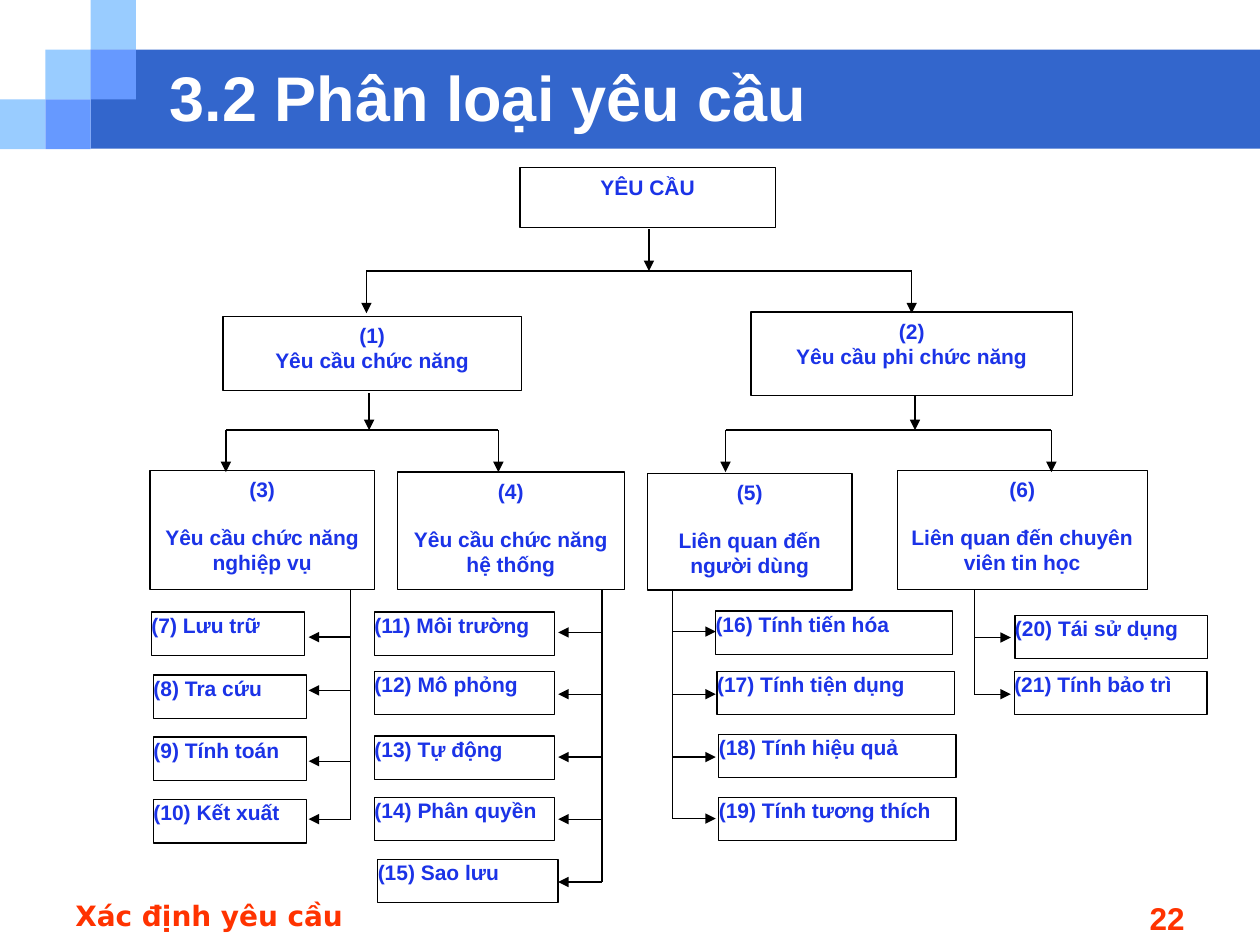
from copy import deepcopy
from lxml import etree
from pptx import Presentation
from pptx.dml.color import RGBColor
from pptx.enum import shapes, text
from pptx.oxml import ns
from pptx.util import Pt

rgb = RGBColor.from_string
deck = Presentation()
deck.slide_width, deck.slide_height = Pt(720), Pt(540)
slide = deck.slides.add_slide(deck.slide_layouts[6])


def write(words, place, size=12, font="Arial", color="1B33E7", align="CENTER",
          anchor="TOP", inset=(7.2, 3.6), boxed=True):
    place = [Pt(v) for v in place]
    if boxed:
        holder = slide.shapes.add_shape(shapes.MSO_SHAPE.RECTANGLE, *place)
        holder.shadow.inherit = False
        holder.fill.solid()
        holder.fill.fore_color.rgb = rgb("FFFFFF")
        holder.line.color.rgb = rgb("000000")
        holder.line.width = Pt(0.75)
    else:
        holder = slide.shapes.add_textbox(*place)
    frame = holder.text_frame
    frame.word_wrap = True
    frame.vertical_anchor = getattr(text.MSO_ANCHOR, anchor)
    frame.margin_left = frame.margin_right = Pt(inset[0])
    frame.margin_top = frame.margin_bottom = Pt(inset[1])
    frame.text = words
    for order, paragraph in enumerate(frame.paragraphs):
        paragraph.alignment = getattr(text.PP_ALIGN, align)
        if boxed:
            paragraph.space_before = Pt(3 if order else 0)
            paragraph.space_after = Pt(10)
        for run in paragraph.runs:
            run.font.size = Pt(size)
            run.font.name = font
            run.font.bold = True
            run.font.color.rgb = rgb(color)
        for line_break in paragraph._p.findall(ns.qn("a:br")):
            line_break.append(deepcopy(paragraph.runs[0]._r.rPr))


def connect(x1, y1, x2, y2, arrow=True):
    link = slide.shapes.add_connector(
        shapes.MSO_CONNECTOR.STRAIGHT, Pt(x1), Pt(y1), Pt(x2), Pt(y2))
    link.line.color.rgb = rgb("000000")
    link.line.width = Pt(0.75)
    if arrow:
        etree.SubElement(link.line._get_or_add_ln(), ns.qn("a:tailEnd"), type="triangle")
    etree.SubElement(link._element.spPr, ns.qn("a:effectLst"))


tile_w, tile_h = 25.9, 28.4
header_tiles = [
    (2 * tile_w, 28.4, 720 - 2 * tile_w, 56.6, "3366CC"),
    (0, 2 * tile_h, tile_w, tile_h, "99CCFF"),
    (tile_w, tile_h, tile_w, tile_h, "99CCFF"),
    (2 * tile_w, 0, tile_w, tile_h, "99CCFF"),
    (2 * tile_w, tile_h, tile_w, tile_h, "6699FF"),
    (tile_w, 2 * tile_h, tile_w, tile_h, "6699FF"),
]
for *place, color in header_tiles:
    tile = slide.shapes.add_shape(shapes.MSO_SHAPE.RECTANGLE, *[Pt(v) for v in place])
    tile.shadow.inherit = False
    tile.fill.solid()
    tile.fill.fore_color.rgb = rgb(color)
    tile.line.fill.background()

write("3.2 Phân loại yêu cầu", (90, 36, 582, 38), size=36, color="FFFFFF",
      align="LEFT", anchor="MIDDLE", boxed=False)
write("22", (516, 510, 168, 25), size=18, color="FF3300", align="RIGHT", boxed=False)
write("Xác định yêu cầu", (36, 510, 228, 25), size=16, font="DejaVu Sans",
      color="FF3300", align="LEFT", boxed=False)

categories = [
    ("YÊU CẦU", 297.2, 95.9, 145.8, 34),
    ("(1)\vYêu cầu chức năng", 127.4, 180.7, 170.6, 42.7),
    ("(2)\vYêu cầu phi chức năng", 429.1, 178.3, 183.8, 47.7),
    ("(3)\nYêu cầu chức năng nghiệp vụ", 85.7, 268.9, 128.3, 68.2),
    ("(4)\nYêu cầu chức năng hệ thống", 227, 269.8, 129.8, 67.3),
    ("(5)\nLiên quan đến người dùng", 370, 270.6, 116.9, 66.6),
    ("(6)\nLiên quan đến chuyên viên tin học", 512.8, 268.9, 142.8, 68.2),
]
for words, *place in categories:
    write(words, place)

forks = [
    (370.8, 131, 154.9, 209.4, 521, 179),
    (210.9, 224.6, 245.8, 129.1, 284.8, 269.8),
    (522.9, 226.1, 245.8, 414.6, 600.8, 269.8),
]
for stem, top, rail, left, right, bottom in forks:
    connect(stem, top, stem, rail)
    connect(left, rail, right, rail, arrow=False)
    for drop in (left, right):
        connect(drop, rail, drop, bottom)

groups = [
    (200.3, 176.4, 87.5, [
        ("(7) Lưu trữ", 86.5, 349.8, 364.1),
        ("(8) Tra cứu", 87.7, 385.8, 394.5),
        ("(9) Tính toán", 87.7, 421.2, 435),
        ("(10) Kết xuất", 87.7, 457, 468.1)]),
    (344, 319, 103, [
        ("(11) Môi trường", 214, 349.8, 361.4),
        ("(12) Mô phỏng", 214, 383.8, 396.7),
        ("(13) Tự động", 214, 420.6, 432.6),
        ("(14) Phân quyền", 214, 455.6, 468.1),
        ("(15) Sao lưu", 215.9, 491.2, 504)]),
    (384.3, 409, 135.6, [
        ("(16) Tính tiến hóa", 408.9, 349.2, 360.9),
        ("(17) Tính tiện dụng", 409.8, 383.8, 396.7),
        ("(18) Tính hiệu quả", 410.8, 419.6, 432.6),
        ("(19) Tính tương thích", 410.8, 455.6, 467.8)]),
    (556.8, 577.6, 110.1, [
        ("(20) Tái sử dụng", 580, 351.8, 364.3),
        ("(21) Tính bảo trì", 579.6, 383.8, 396.7)]),
]
for trunk, tip, width, leaves in groups:
    for words, left, top, level in leaves:
        write(words, (left, top, width, 24.7), align="LEFT", inset=(0, 0))
        connect(trunk, level, tip, level)
    connect(trunk, 337, trunk, leaves[-1][-1], arrow=False)

deck.save("out.pptx")
